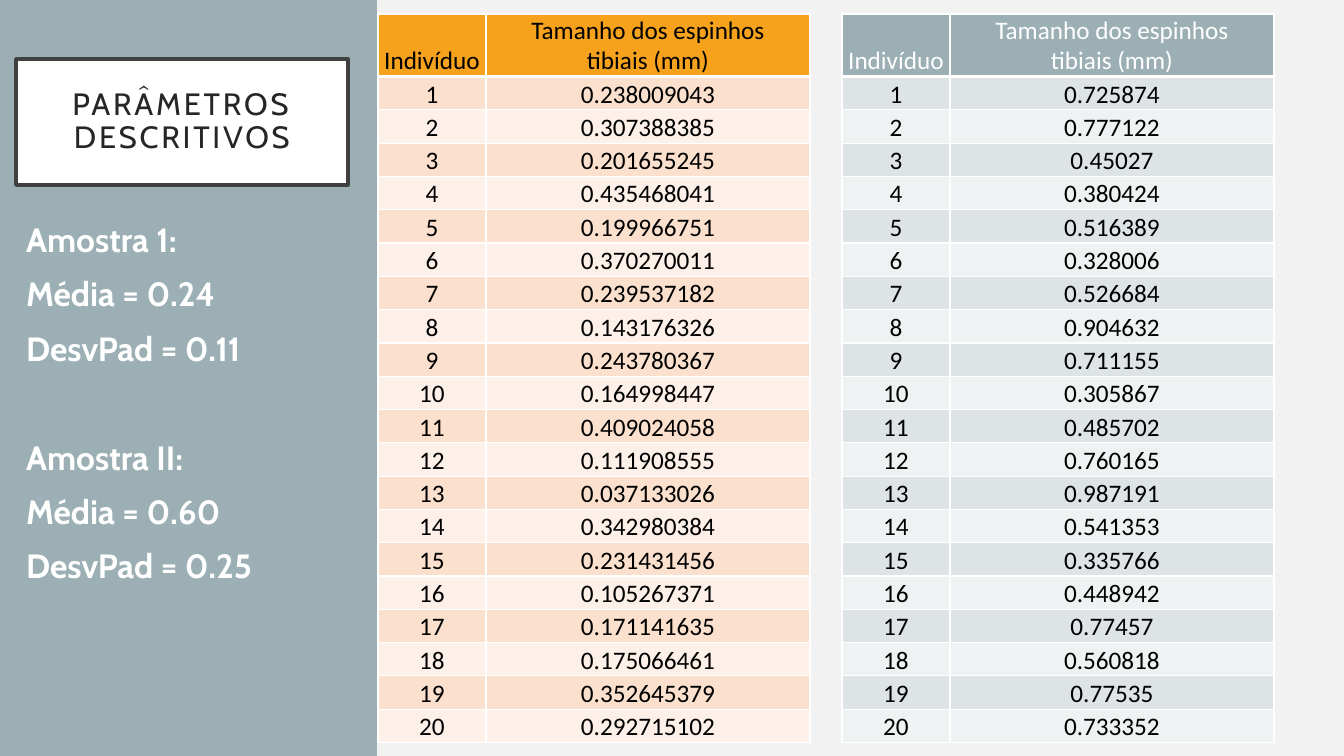
from dataclasses import dataclass

from lxml.etree import SubElement
from pptx import Presentation
from pptx.dml.color import RGBColor
from pptx.enum.shapes import MSO_SHAPE
from pptx.enum.text import MSO_ANCHOR, MSO_AUTO_SIZE, PP_ALIGN
from pptx.oxml.ns import qn
from pptx.util import Emu, Pt

BACKGROUND = RGBColor(0xF2, 0xF2, 0xF2)
SLATE = RGBColor(0x9B, 0xAF, 0xB5)
SLATE_DARK_BAND = RGBColor(0xDE, 0xE3, 0xE5)
SLATE_LIGHT_BAND = RGBColor(0xEF, 0xF2, 0xF3)
ORANGE = RGBColor(0xF6, 0xA2, 0x1D)
ORANGE_DARK_BAND = RGBColor(0xFB, 0xE0, 0xCD)
ORANGE_LIGHT_BAND = RGBColor(0xFD, 0xF0, 0xE8)
WHITE = RGBColor(0xFF, 0xFF, 0xFF)
BLACK = RGBColor(0x00, 0x00, 0x00)
FRAME = RGBColor(0x40, 0x40, 0x40)
TITLE_INK = RGBColor(0x26, 0x26, 0x26)

EMU_PER_PX = 914400 / 100.8
TABLE_TOP, HEADER_HEIGHT, BODY_HEIGHT = 14, 62, 666
COLUMN_WIDTHS = (108, 324)
HEADINGS = (("Indivíduo",), ("Tamanho dos espinhos", "tibiais (mm)"))


@dataclass(frozen=True)
class Sample:
    left: int
    header_fill: RGBColor
    header_ink: RGBColor
    bands: tuple[RGBColor, RGBColor]
    spines: tuple[str, ...]


@dataclass(frozen=True)
class Statistics:
    heading: str
    mean: str
    deviation: str


SAMPLES = (
    Sample(378, ORANGE, BLACK, (ORANGE_DARK_BAND, ORANGE_LIGHT_BAND), (
        "0.238009043", "0.307388385", "0.201655245", "0.435468041", "0.199966751",
        "0.370270011", "0.239537182", "0.143176326", "0.243780367", "0.164998447",
        "0.409024058", "0.111908555", "0.037133026", "0.342980384", "0.231431456",
        "0.105267371", "0.171141635", "0.175066461", "0.352645379", "0.292715102")),
    Sample(842, SLATE, WHITE, (SLATE_DARK_BAND, SLATE_LIGHT_BAND), (
        "0.725874", "0.777122", "0.45027", "0.380424", "0.516389",
        "0.328006", "0.526684", "0.904632", "0.711155", "0.305867",
        "0.485702", "0.760165", "0.987191", "0.541353", "0.335766",
        "0.448942", "0.77457", "0.560818", "0.77535", "0.733352")),
)
STATISTICS = (
    Statistics("Amostra 1:", "0.24", "0.11"),
    Statistics("Amostra II:", "0.60", "0.25"),
)


def px(length: float) -> Emu:
    return Emu(round(length * EMU_PER_PX))


def place(shape, left: int, top: int, width: int, height: int) -> None:
    shape.left, shape.top = px(left), px(top)
    shape.width, shape.height = px(width), px(height)


def add_run(paragraph, text: str, font_name: str, size: int, ink: RGBColor,
            bold: bool = False):
    run = paragraph.add_run()
    run.text = text
    run.font.name, run.font.size, run.font.bold = font_name, Pt(size), bold
    run.font.color.rgb = ink
    return run


def set_borders(cell, top: int, bottom: int) -> None:
    """Draw white cell borders, with the top and bottom widths in points."""
    properties = cell._tc.get_or_add_tcPr()
    widths = {"lnL": 1, "lnR": 1, "lnT": top, "lnB": bottom}
    for position, (tag, width) in enumerate(widths.items()):
        line = SubElement(properties, qn(f"a:{tag}"), w=str(Pt(width)))
        fill = SubElement(line, qn("a:solidFill"))
        SubElement(fill, qn("a:srgbClr"), val=str(WHITE))
        properties.insert(position, line)


def fill_cell(cell, lines: tuple[str, ...], fill: RGBColor, ink: RGBColor,
              top: int, bottom: int) -> None:
    cell.fill.solid()
    cell.fill.fore_color.rgb = fill
    cell.vertical_anchor = MSO_ANCHOR.BOTTOM
    cell.margin_left = cell.margin_right = cell.margin_top = px(1)
    cell.margin_bottom = 0
    set_borders(cell, top, bottom)
    text_frame = cell.text_frame
    for index, text in enumerate(lines):
        paragraph = text_frame.add_paragraph() if index else text_frame.paragraphs[0]
        paragraph.alignment = PP_ALIGN.CENTER
        add_run(paragraph, text, "Calibri", 18, ink)


def add_sample_table(slide, sample: Sample) -> None:
    count = len(sample.spines)
    table = slide.shapes.add_table(
        count + 1, len(COLUMN_WIDTHS), px(sample.left), px(TABLE_TOP),
        px(sum(COLUMN_WIDTHS)), px(HEADER_HEIGHT + BODY_HEIGHT)).table
    table.horz_banding = False
    for column, width in zip(table.columns, COLUMN_WIDTHS):
        column.width = px(width)
    for index, row in enumerate(table.rows):
        row.height = px(BODY_HEIGHT / count if index else HEADER_HEIGHT)

    for column, lines in enumerate(HEADINGS):
        fill_cell(table.cell(0, column), lines, sample.header_fill,
                  sample.header_ink, top=1, bottom=3)
    for individual, spine in enumerate(sample.spines, start=1):
        band = sample.bands[(individual - 1) % 2]
        for column, text in enumerate((str(individual), spine)):
            fill_cell(table.cell(individual, column), (text,), band, BLACK,
                      top=3 if individual == 1 else 1, bottom=1)


def add_side_panel(slide) -> None:
    panel = slide.shapes.add_shape(MSO_SHAPE.RECTANGLE, 0, 0, px(377), px(756))
    panel.shadow.inherit = False
    panel.fill.solid()
    panel.fill.fore_color.rgb = SLATE
    panel.line.fill.background()
    slide.shapes.title.element.addprevious(panel.element)


def fill_title(title) -> None:
    place(title, 16, 59, 332, 126)
    title.fill.solid()
    title.fill.fore_color.rgb = WHITE
    title.line.color.rgb = FRAME
    title.line.width = Pt(2.5)
    text_frame = title.text_frame
    text_frame.word_wrap = True
    text_frame.auto_size = MSO_AUTO_SIZE.NONE
    text_frame.vertical_anchor = MSO_ANCHOR.MIDDLE
    text_frame.margin_left = text_frame.margin_right = px(20)
    text_frame.margin_top = text_frame.margin_bottom = px(20)
    paragraph = text_frame.paragraphs[0]
    paragraph.alignment = PP_ALIGN.CENTER
    paragraph.line_spacing = 0.9
    run = add_run(paragraph, "PARÂMETROS DESCRITIVOS", "Cabin", 22, TITLE_INK)
    run.font._element.set("spc", "200")


def fill_statistics(body) -> None:
    place(body, 16, 214, 332, 514)
    text_frame = body.text_frame
    text_frame.word_wrap = True
    text_frame.auto_size = MSO_AUTO_SIZE.NONE
    text_frame.vertical_anchor = MSO_ANCHOR.TOP
    for group, sample in enumerate(STATISTICS):
        lines = (sample.heading, f"Média = {sample.mean}",
                 f"DesvPad = {sample.deviation}")
        for index, text in enumerate(lines):
            is_first = group == index == 0
            paragraph = text_frame.paragraphs[0] if is_first else text_frame.add_paragraph()
            properties = paragraph._p.get_or_add_pPr()
            properties.set("marL", "0")
            properties.set("indent", "0")
            SubElement(properties, qn("a:buNone"))
            paragraph.alignment = PP_ALIGN.LEFT
            # A wider gap separates the two samples
            paragraph.space_before = Pt(0 if is_first else 10 if index else 49)
            add_run(paragraph, text, "Cabin", 24, WHITE, bold=True)


def main() -> None:
    presentation = Presentation()
    presentation.slide_width, presentation.slide_height = px(1344), px(756)
    slide = presentation.slides.add_slide(presentation.slide_layouts[1])
    slide.background.fill.solid()
    slide.background.fill.fore_color.rgb = BACKGROUND

    # Side panel with the title and the descriptive parameters
    add_side_panel(slide)
    fill_title(slide.shapes.title)
    fill_statistics(slide.placeholders[1])

    # One table of measurements per sample
    for sample in SAMPLES:
        add_sample_table(slide, sample)

    presentation.save("out.pptx")


if __name__ == "__main__":
    main()
